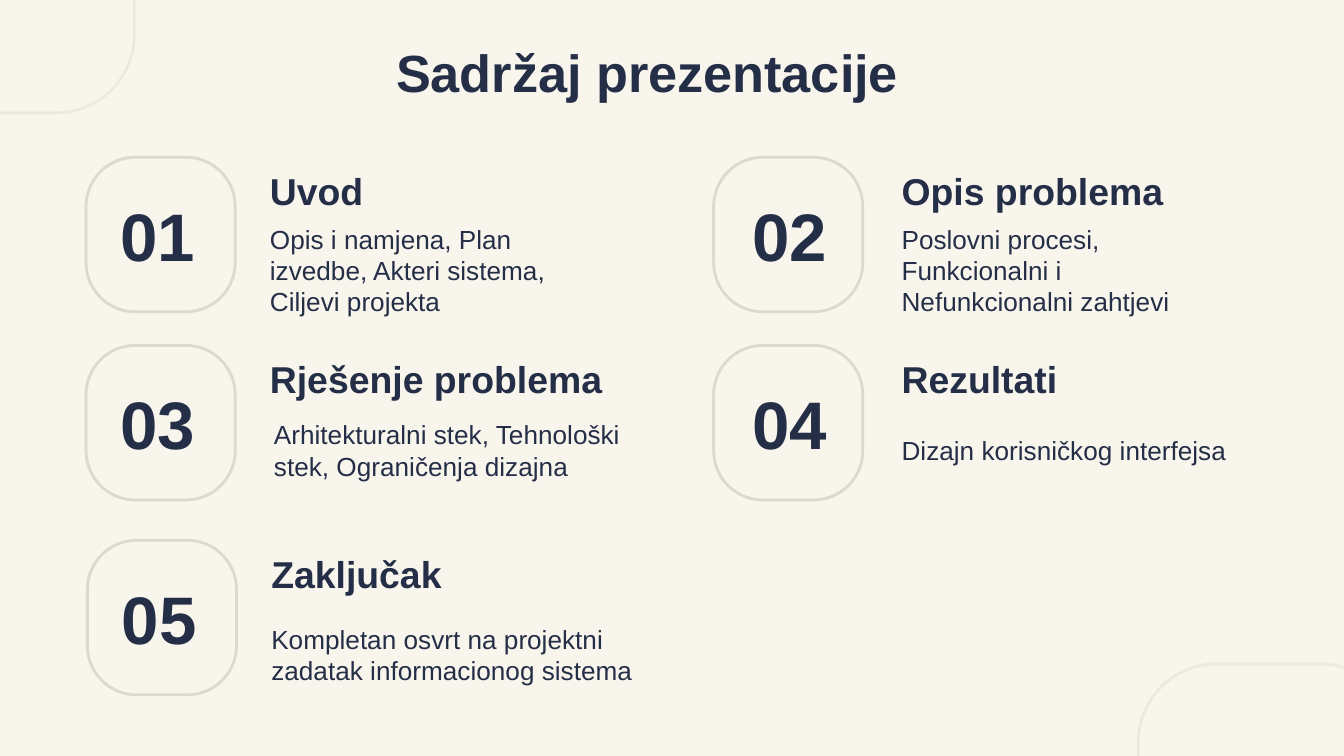
from dataclasses import dataclass

from pptx import Presentation
from pptx import util as u
from pptx.dml.color import RGBColor
from pptx.enum import shapes, text


@dataclass(frozen=True)
class Theme:
    font: str = "Arial"
    paper: str = "F8F5EC"
    ink: str = "252E47"
    badge_line: str = "DADACE"
    corner_line: str = "ECE9E1"
    title: int = 28
    number: int = 36
    heading: int = 20
    body: int = 14
    line: float = 1.5
    inset: float = 0.1


def write(sp, theme, content, size, bold=True, align=text.PP_ALIGN.LEFT):
    tf = sp.text_frame
    tf.word_wrap = True
    tf.auto_size = text.MSO_AUTO_SIZE.NONE
    tf.vertical_anchor = text.MSO_ANCHOR.MIDDLE
    tf.margin_left = tf.margin_right = u.Inches(theme.inset)
    tf.margin_top = tf.margin_bottom = u.Inches(theme.inset)
    p = tf.paragraphs[0]
    p.alignment = align
    p.line_spacing = 1.0
    p.space_before = u.Pt(0)
    r = p.add_run()
    r.text = content
    r.font.name = theme.font
    r.font.size = u.Pt(size)
    r.font.bold = bold
    r.font.color.rgb = RGBColor.from_string(theme.ink)


class Deck:
    """Holds the theme and the slide being drawn."""

    def __init__(self, prs, theme):
        self.theme = theme
        self.s = prs.slides.add_slide(prs.slide_layouts[5])
        fill = self.s.background.fill
        fill.solid()
        fill.fore_color.rgb = RGBColor.from_string(theme.paper)

    def title(self, content, x, y, w, h):
        sp = self.s.shapes.title
        sp.left, sp.top, sp.width, sp.height = map(u.Inches, (x, y, w, h))
        write(sp, self.theme, content, self.theme.title, align=text.PP_ALIGN.CENTER)

    def frame(self, x, y, w, h, color, radius):
        sp = self.s.shapes.add_shape(
            shapes.MSO_SHAPE.ROUNDED_RECTANGLE, *map(u.Inches, (x, y, w, h)))
        sp.adjustments[0] = radius
        sp.shadow.inherit = False
        sp.fill.background()
        sp.line.color.rgb = RGBColor.from_string(color)
        sp.line.width = u.Pt(self.theme.line)

    def text(self, content, x, y, w, h, size, **fmt):
        sp = self.s.shapes.add_textbox(*map(u.Inches, (x, y, w, h)))
        write(sp, self.theme, content, size, **fmt)

    def entry(self, number, heading, body, x, y, number_x, text_x, body_x, body_y, body_w):
        """Draw a numbered badge with a heading and a description beside it."""
        t = self.theme
        self.frame(x, y, 1.11, 1.15, t.badge_line, 0.33)
        self.text(f"{number:02}", number_x, y, 1.15, 1.15, t.number,
                  align=text.PP_ALIGN.CENTER)
        self.text(heading, text_x, y - 0.04, 2.81, 0.58, t.heading)
        self.text(body, body_x, body_y, body_w, 0.58, t.body, bold=False)


# heading, description, badge x and y, number x, heading x, description x, y and width
ENTRIES = [
    ("Uvod", "Opis i namjena, Plan izvedbe, Akteri sistema, Ciljevi projekta",
     0.64, 1.17, 0.6, 1.91, 1.91, 1.72, 2.65),
    ("Opis problema", "Poslovni procesi, Funkcionalni i Nefunkcionalni zahtjevi",
     5.31, 1.17, 5.3, 6.61, 6.61, 1.72, 2.68),
    ("Rješenje problema", "Arhitekturalni stek, Tehnološki stek, Ograničenja dizajna",
     0.64, 2.57, 0.6, 1.91, 1.94, 3.06, 3.21),
    ("Rezultati", "Dizajn korisničkog interfejsa",
     5.31, 2.57, 5.3, 6.61, 6.61, 3.06, 2.68),
    ("Zaključak", "Kompletan osvrt na projektni zadatak informacionog sistema",
     0.65, 4.02, 0.61, 1.92, 1.92, 4.58, 2.89),
]


def main():
    prs = Presentation()
    prs.slide_width = u.Inches(10)
    prs.slide_height = prs.slide_width * 9 // 16
    theme = Theme()
    deck = Deck(prs, theme)
    for x, y in ((-0.94, -1.48), (8.47, 4.94)):
        deck.frame(x, y, 1.94, 2.32, theme.corner_line, 0.3)
    deck.title("Sadržaj prezentacije", 2.66, 0.22, 4.31, 0.63)
    for number, entry in enumerate(ENTRIES, start=1):
        deck.entry(number, *entry)
    prs.save("out.pptx")


if __name__ == "__main__":
    main()
